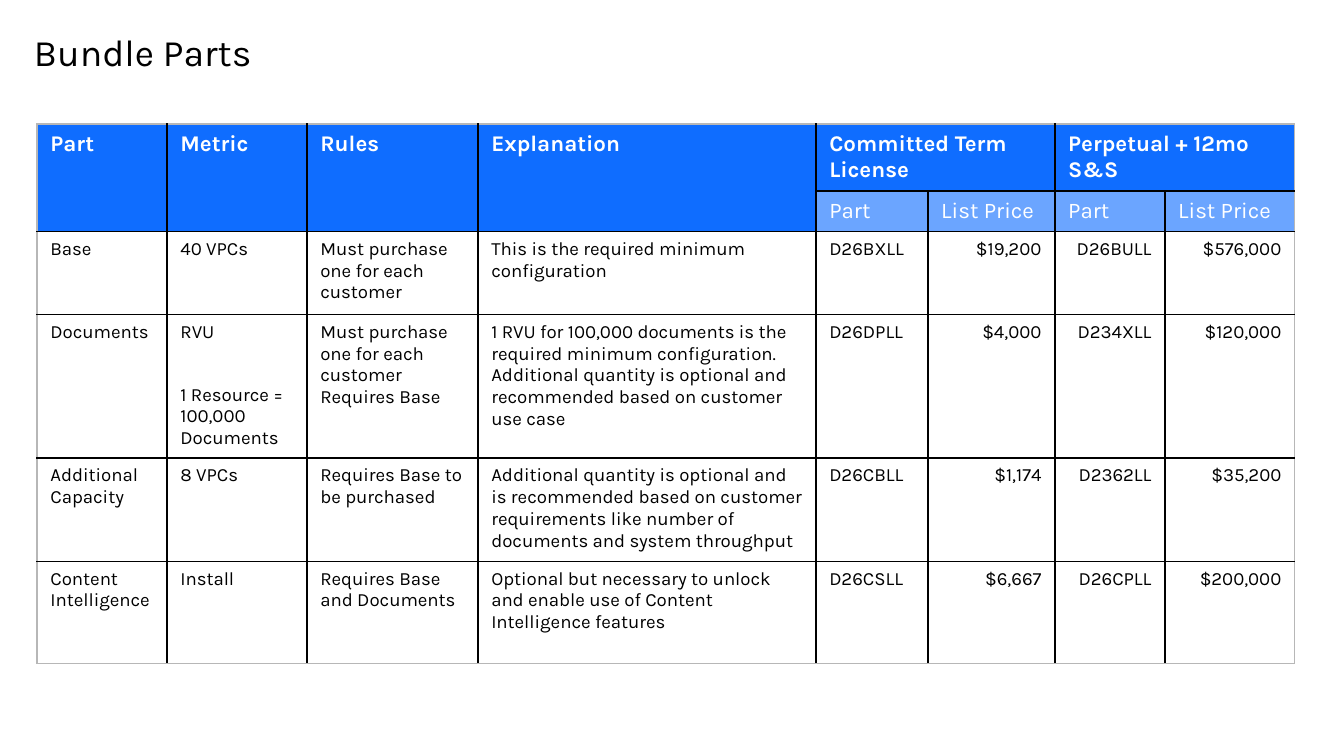
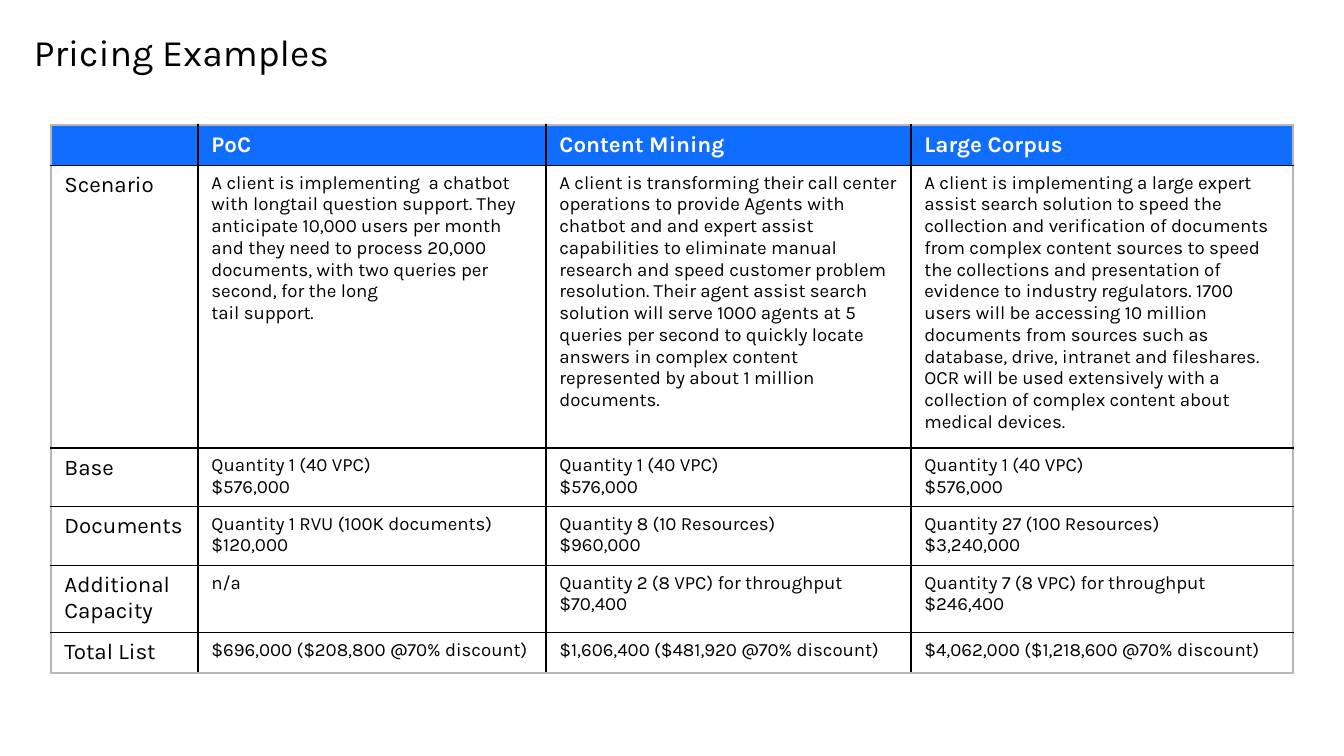
from dataclasses import dataclass

from lxml import etree
from pptx import Presentation
from pptx import util as u
from pptx.dml.color import RGBColor
from pptx.enum import text
from pptx.oxml import ns

SCALE = 914400 / 134.4  # EMU in one px
LEFT, RIGHT = text.PP_ALIGN.LEFT, text.PP_ALIGN.RIGHT


@dataclass(frozen=True)
class Theme:
    font: str = "Karla"
    ink: str = "000000"
    paper: str = "FFFFFF"
    blue: str = "0F6DFF"
    sky: str = "6BA5FF"
    edge: str = "B7B7B7"
    title: int = 20
    head: int = 12
    body: int = 10
    rule: int = 1


@dataclass(frozen=True)
class Look:
    size: int
    color: str
    bold: bool = False
    fill: str = ""
    align: text.PP_ALIGN = LEFT


T = Theme()
HEAD = Look(T.head, T.paper, True, T.blue)
SUB = Look(T.head, T.paper, False, T.sky)
LABEL = Look(T.head, T.ink)
BODY = Look(T.body, T.ink)
PRICE = Look(T.body, T.ink, align=RIGHT)


def px(n):
    return u.Emu(round(n * SCALE))


# Text: a tuple holds paragraphs, a newline is a line break
def write(frame, words, look):
    paras = words if isinstance(words, tuple) else (words,)
    for i, para in enumerate(paras):
        p = frame.paragraphs[0] if i == 0 else frame.add_paragraph()
        p.alignment = look.align
        if not para:
            end = etree.SubElement(p._p, ns.qn("a:endParaRPr"))
            end.set("sz", str(look.size * 100))
            continue
        for j, line in enumerate(para.split("\n")):
            if j:
                p.add_line_break()
            if line:
                run = p.add_run()
                run.text = line
                run.font.name = T.font
                run.font.size = u.Pt(look.size)
                run.font.bold = look.bold
                run.font.color.rgb = RGBColor.from_string(look.color)


def title(slide, words, box=(34, 34, 605, 47)):
    frame = slide.shapes.add_textbox(*map(px, box)).text_frame
    frame.word_wrap = True
    frame.margin_left = frame.margin_right = 0
    frame.margin_top = frame.margin_bottom = 0
    write(frame, words, Look(T.title, T.ink))
    frame.paragraphs[0].line_spacing = 0.9


# Black rules inside the table, grey ones around it
def border(cell, r, c, rows, cols):
    outer = {
        "L": c == 0,
        "R": c + cell.span_width == cols,
        "T": r == 0,
        "B": r + cell.span_height == rows,
    }
    props = cell._tc.get_or_add_tcPr()
    for side, out in outer.items():
        line = etree.SubElement(props, ns.qn("a:ln" + side))
        line.set("w", str(u.Pt(T.rule)))
        fill = etree.SubElement(line, ns.qn("a:solidFill"))
        tint = etree.SubElement(fill, ns.qn("a:srgbClr"))
        tint.set("val", T.edge if out else T.ink)


def grid(slide, spot, cols, rows, data, style, spans=()):
    box = (*spot, sum(cols), sum(rows))
    table = slide.shapes.add_table(len(rows), len(cols), *map(px, box)).table
    table.first_row = table.horz_banding = False
    for col, wide in zip(table.columns, cols):
        col.width = px(wide)
    for row, high in zip(table.rows, rows):
        row.height = px(high)
    for start, end in spans:
        table.cell(*start).merge(table.cell(*end))
    for r, line in enumerate(data):
        for c, words in enumerate(line):
            cell, look = table.cell(r, c), style(r, c)
            border(cell, r, c, len(rows), len(cols))
            if look.fill:
                cell.fill.solid()
                cell.fill.fore_color.rgb = RGBColor.from_string(look.fill)
            else:
                cell.fill.background()
            write(cell.text_frame, words, look)


# Slide 1: parts of the bundle
PARTS = [
    ["Part", "Metric", "Rules", "Explanation",
     "Committed Term License", "", "Perpetual + 12mo S&S", ""],
    [""] * 4 + ["Part", "List Price"] * 2,
    ["Base", "40 VPCs", "Must purchase one for each customer",
     "This is the required minimum configuration",
     "D26BXLL", "$19,200", "D26BULL", "$576,000"],
    ["Documents", "RVU\n\n1 Resource = 100,000 Documents",
     "Must purchase one for each customer\nRequires Base",
     "1 RVU for 100,000 documents is the required minimum configuration. \n"
     "Additional quantity is optional and recommended based on customer "
     "use case",
     "D26DPLL", "$4,000", "D234XLL", "$120,000"],
    ["Additional Capacity", "8 VPCs", "Requires Base to be purchased",
     "Additional quantity is optional and is recommended based on customer "
     "requirements like number of documents and system throughput",
     "D26CBLL", "$1,174", "D2362LL", "$35,200"],
    ["Content Intelligence", "Install", "Requires Base and Documents",
     "Optional but necessary to unlock and enable use of Content "
     "Intelligence features",
     "D26CSLL", "$6,667", "D26CPLL", "$200,000"],
]


def bundle(slide):
    def style(r, c):
        if r < 2:
            return SUB if r == 1 and c > 3 else HEAD
        return PRICE if c > 4 else BODY

    title(slide, "Bundle Parts")
    tall = [((0, c), (1, c)) for c in range(4)]
    wide = [((0, c), (0, c + 1)) for c in (4, 6)]
    grid(slide, (37, 124), (130, 140, 171, 338, 112, 127, 110, 130),
         (67, 40, 83, 125, 103, 102), PARTS, style, tall + wide)


# Slide 2: three priced cases
CASES = [
    ["", "PoC", "Content Mining", "Large Corpus"],
    ["Scenario",
     ("A client is implementing  a chatbot with longtail question support. "
      "They anticipate 10,000 users per month and they need to process "
      "20,000 documents, with two queries per second, for the long",
      "tail support."),
     "A client is transforming their call center operations to provide "
     "Agents with chatbot and and expert assist capabilities to eliminate "
     "manual research and speed customer problem resolution. Their agent "
     "assist search solution will serve 1000 agents at 5 queries per second "
     "to quickly locate answers in complex content represented by about "
     "1 million documents.",
     "A client is implementing a large expert assist search solution to "
     "speed the collection and verification of documents from complex "
     "content sources to speed the collections and presentation of evidence "
     "to industry regulators. 1700 users will be accessing 10 million "
     "documents from sources such as database, drive, intranet and "
     "fileshares. OCR will be used extensively with a collection of complex "
     "content about medical devices."],
    ["Base"] + ["Quantity 1 (40 VPC)\n$576,000"] * 3,
    ["Documents",
     ("Quantity 1 RVU (100K documents)", "$120,000"),
     ("Quantity 8 (10 Resources)", "$960,000"),
     ("Quantity 27 (100 Resources)", "$3,240,000")],
    ["Additional Capacity", "n/a",
     ("Quantity 2 (8 VPC) for throughput", "$70,400"),
     ("Quantity 7 (8 VPC) for throughput", "$246,400")],
    ["Total List",
     "$696,000 ($208,800 @70% discount)",
     "$1,606,400 ($481,920 @70% discount)",
     "$4,062,000 ($1,218,600 @70% discount)"],
]


def pricing(slide):
    def style(r, c):
        if r == 0:
            return HEAD
        return BODY if c else LABEL

    title(slide, "Pricing Examples")
    grid(slide, (51, 125), (147, 348, 365, 382),
         (38, 282, 58, 59, 67, 40), CASES, style)


def main():
    deck = Presentation()
    deck.slide_width, deck.slide_height = px(1344), px(756)
    for build in (bundle, pricing):
        build(deck.slides.add_slide(deck.slide_layouts[6]))
    deck.save("out.pptx")


if __name__ == "__main__":
    main()
